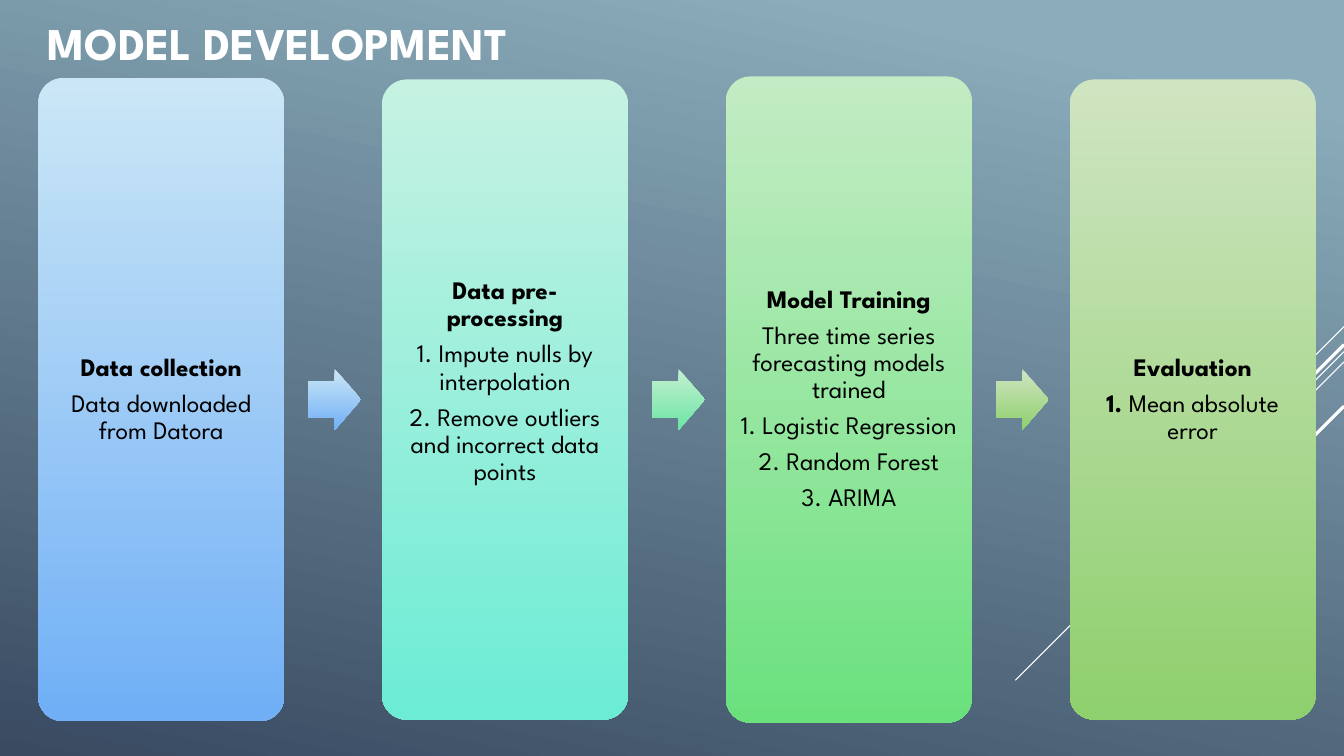
"""Build the model development slide: four stage cards joined by block arrows."""
from typing import NamedTuple

from lxml.etree import SubElement
from pptx import Presentation
from pptx.dml.color import RGBColor
from pptx.enum.shapes import MSO_CONNECTOR, MSO_SHAPE
from pptx.enum.text import MSO_ANCHOR, PP_ALIGN
from pptx.oxml.ns import qn
from pptx.util import Inches, Pt

WIDTH, HEIGHT = 13.33, 7.5
FONT = "League Spartan"
FIRST_CARD, FIRST_ARROW, PITCH = 2.85, 22.95, 25.58
CARD_WIDTH, ARROW_WIDTH, ARROW_HEIGHT = 18.3, 3.92, 8.05
MIDDLE = 52.85
INSET = 0.07


class Run(NamedTuple):
    text: str
    bold: bool = False


class Stage(NamedTuple):
    height: float
    top_color: str
    bottom_color: str
    paragraphs: list[list[Run]]
    lift: float = 0


class Ray(NamedTuple):
    top: float
    run: float
    weight: float


STAGES = [
    Stage(85.07, "CBE7F6", "70AFF6", [
        [Run("Data collection", True)],
        [Run("Data downloaded from Datora")],
    ]),
    Stage(84.67, "C6F2E2", "6CECD5", [
        [Run("Data pre-processing", True)],
        [Run("1. Impute nulls by interpolation")],
        [Run("2. Remove outliers and incorrect data points")],
    ], lift=0.35),
    Stage(85.47, "C3ECC4", "6BE17E", [
        [Run("Model Training", True)],
        [Run("Three time series forecasting models trained")],
        [Run("1. Logistic Regression")],
        [Run("2. Random Forest")],
        [Run("3. ARIMA")],
    ]),
    Stage(84.67, "CFE4C1", "8ED06D", [
        [Run("Evaluation", True)],
        [Run("1. ", True), Run("Mean absolute error")],
    ]),
]
ARROW_COLORS = [("CBE7F6", "70AFF6"), ("C5EFD1", "6BE6A5"), ("CFE4C1", "8ED06D")]
RAYS = [
    Ray(43.2, 7.5, 0.75),
    Ray(46.53, 24.45, 0.75),
    Ray(47.87, 15.53, 0.75),
    Ray(45.6, 14.33, 2.25),
    Ray(53.73, 10.43, 2.25),
]


def col(share: float) -> int:
    """Turn a percentage of the slide width into a length."""
    return Inches(WIDTH * share / 100)


def row(share: float) -> int:
    """Turn a percentage of the slide height into a length."""
    return Inches(HEIGHT * share / 100)


def rgb(color: str) -> RGBColor:
    """Read a hex colour."""
    return RGBColor.from_string(color)


def set_gradient(fill, first: str, last: str, angle: float = 270, start: float = 0) -> None:
    """Apply a two-colour linear gradient."""
    fill.gradient()
    fill.gradient_angle = angle
    for stop, color, position in zip(fill.gradient_stops, (first, last), (start, 1)):
        stop.color.rgb = rgb(color)
        stop.position = position


def write(tf, paragraphs: list[list[Run]], *, size: float, color: str,
          align=PP_ALIGN.LEFT, spacing: float = 1, after: float = 0) -> None:
    """Fill a text frame with formatted paragraphs."""
    tf.word_wrap = True
    tf.vertical_anchor = MSO_ANCHOR.MIDDLE
    for i, runs in enumerate(paragraphs):
        p = tf.paragraphs[0] if i == 0 else tf.add_paragraph()
        p.alignment, p.line_spacing, p.space_after = align, spacing, Pt(after)
        for run in runs:
            r = p.add_run()
            r.text = run.text
            r.font.name, r.font.size, r.font.bold = FONT, Pt(size), run.bold
            r.font.color.rgb = rgb(color)


def add_block(s, kind, left: float, width: float, height: float,
              colors: tuple[str, str], adjustments: list[float]):
    """Add a gradient shape centred on the middle row."""
    sp = s.shapes.add_shape(kind, col(left), row(MIDDLE - height / 2), col(width), row(height))
    sp.shadow.inherit = False
    sp.line.fill.background()
    set_gradient(sp.fill, *colors)
    for i, value in enumerate(adjustments):
        sp.adjustments[i] = value
    return sp


def add_stage(s, index: int, stage: Stage) -> None:
    """Add one stage card with its text."""
    sp = add_block(s, MSO_SHAPE.ROUNDED_RECTANGLE, FIRST_CARD + index * PITCH, CARD_WIDTH,
                   stage.height, (stage.top_color, stage.bottom_color), [0.1])
    tf = sp.text_frame
    tf.margin_left = tf.margin_right = tf.margin_top = Inches(INSET)
    tf.margin_bottom = Inches(INSET + stage.lift)
    write(tf, stage.paragraphs, size=18, color="000000",
          align=PP_ALIGN.CENTER, spacing=0.9, after=6.3)


def add_ray(s, ray: Ray) -> None:
    """Add a diagonal line falling from the right edge."""
    line = s.shapes.add_connector(MSO_CONNECTOR.STRAIGHT, col(100), row(ray.top),
                                  col(100 - ray.run), row(ray.top) + col(ray.run))
    line.line.color.rgb = rgb("FFFFFF")
    line.line.width = Pt(ray.weight)
    SubElement(line._element.spPr, qn("a:effectLst"))


def main() -> None:
    """Build and save the slide."""
    prs = Presentation()
    prs.slide_width, prs.slide_height = Inches(WIDTH), Inches(HEIGHT)
    s = prs.slides.add_slide(prs.slide_layouts[6])
    set_gradient(s.background.fill, "8AACBB", "394A61", angle=258, start=0.1)
    for ray in RAYS:
        add_ray(s, ray)
    title = s.shapes.add_textbox(col(2.78), row(2.53), col(71.5), row(6.13))
    write(title.text_frame, [[Run("MODEL DEVELOPMENT", True)]], size=32.4, color="FFFFFF")
    for i, stage in enumerate(STAGES):
        add_stage(s, i, stage)
    for i, colors in enumerate(ARROW_COLORS):
        add_block(s, MSO_SHAPE.RIGHT_ARROW, FIRST_ARROW + i * PITCH, ARROW_WIDTH,
                  ARROW_HEIGHT, colors, [0.6, 0.5])
    prs.save("out.pptx")


if __name__ == "__main__":
    main()
